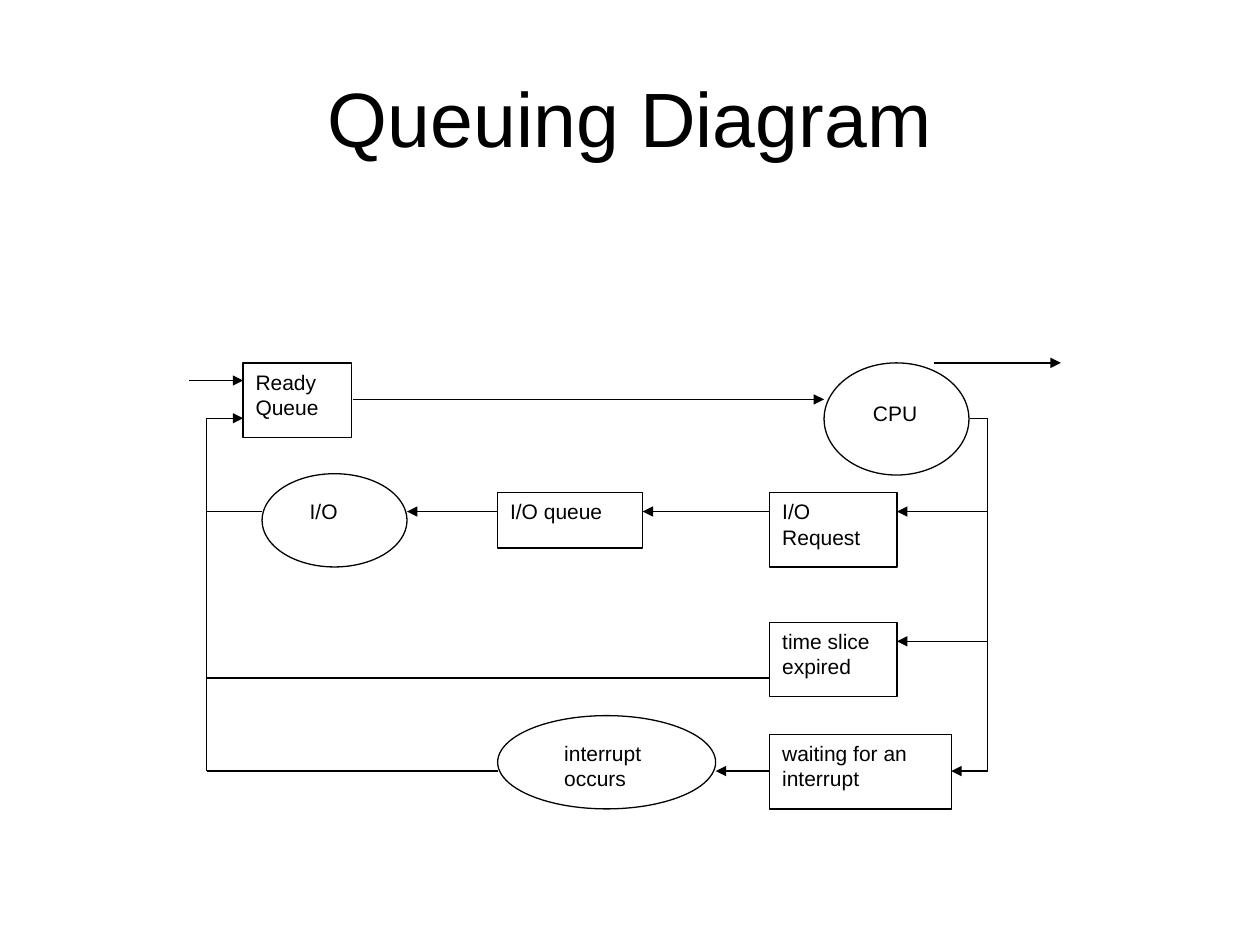
from dataclasses import dataclass

from lxml.etree import SubElement
from pptx import Presentation
from pptx.dml.color import RGBColor
from pptx.enum.shapes import MSO_CONNECTOR as Connector, MSO_SHAPE as Shape
from pptx.enum.text import MSO_ANCHOR as Anchor, PP_ALIGN as Align
from pptx.oxml.ns import qn
from pptx.util import Inches, Pt


@dataclass(frozen=True)
class Theme:
    ink: RGBColor = RGBColor(0, 0, 0)
    paper: RGBColor = RGBColor(255, 255, 255)
    font: str = "Arial"
    title_size: float = 44
    label_size: float = 12
    line_width: float = 0.75


THEME = Theme()

# Vertical rails and the rows that the flows run along
LEFT_RAIL, RIGHT_RAIL = 1.64, 7.84
RAIL_TOP, IO_ROW, SLICE_ROW, SLICE_RETURN, INTERRUPT_ROW = 3.32, 4.06, 5.09, 5.38, 6.12

BOXES = [
    ("Ready Queue", (1.93, 2.88, 0.86, 0.59)),
    ("I/O queue", (3.95, 3.91, 1.15, 0.44)),
    ("I/O Request", (6.11, 3.91, 1.01, 0.59)),
    ("time slice expired", (6.11, 4.94, 1.01, 0.59)),
    ("waiting for an interrupt", (6.11, 5.83, 1.44, 0.59)),
]
# Label, ellipse frame, label frame
ELLIPSES = [
    ("I/O", (2.08, 3.76, 1.15, 0.74), (2.36, 3.91, 0.86, 0.59)),
    ("interrupt occurs", (3.95, 5.68, 1.73, 0.74), (4.38, 5.83, 1.3, 0.59)),
    ("CPU", (6.54, 2.88, 1.15, 0.89), (6.83, 3.13, 0.86, 0.63)),
]
# Row, start x, end x
ARROWS = [
    (3.17, 2.8, 6.54),
    (2.88, 7.41, 8.42),
    (IO_ROW, RIGHT_RAIL, 7.12),
    (SLICE_ROW, RIGHT_RAIL, 7.12),
    (INTERRUPT_ROW, RIGHT_RAIL, 7.55),
    (INTERRUPT_ROW, 6.11, 5.68),
    (RAIL_TOP, LEFT_RAIL, 1.93),
    (IO_ROW, 3.95, 3.23),
    (IO_ROW, 6.11, 5.1),
    (3.02, 1.5, 1.93),
]
BRANCHES = [
    (RAIL_TOP, 7.7, RIGHT_RAIL),
    (INTERRUPT_ROW, LEFT_RAIL, 3.95),
    (IO_ROW, LEFT_RAIL, 2.08),
    (SLICE_RETURN, LEFT_RAIL, 6.11),
]


def set_attributes(target, values):
    for name, value in values.items():
        setattr(target, name, value)


def inches(values):
    return [Inches(value) for value in values]


def write_text(shape, text, size, align=Align.LEFT, anchor=Anchor.TOP):
    frame = shape.text_frame
    set_attributes(frame, {
        "text": text, "word_wrap": True, "vertical_anchor": anchor,
        "margin_left": Inches(0.1), "margin_right": Inches(0.1),
        "margin_top": Inches(0.05), "margin_bottom": Inches(0.05),
    })
    paragraph = frame.paragraphs[0]
    paragraph.alignment = align
    font = paragraph.runs[0].font
    set_attributes(font, {"name": THEME.font, "size": Pt(size)})
    font.color.rgb = THEME.ink


def add_title(slide, text):
    title = slide.shapes.title
    left, top, width, height = inches((0.5, 0.3, 9, 1.25))
    set_attributes(title, {"left": left, "top": top, "width": width, "height": height})
    write_text(title, text, THEME.title_size, Align.CENTER, Anchor.MIDDLE)


def style_line(line):
    line.color.rgb = THEME.ink
    line.width = Pt(THEME.line_width)


def add_outline(slide, kind, frame):
    shape = slide.shapes.add_shape(kind, *inches(frame))
    shape.shadow.inherit = False
    shape.fill.solid()
    shape.fill.fore_color.rgb = THEME.paper
    style_line(shape.line)
    return shape


def add_box(slide, text, frame):
    write_text(add_outline(slide, Shape.RECTANGLE, frame), text, THEME.label_size)


def add_ellipse(slide, text, frame, label_frame):
    """Add an ellipse with its label in a text box of its own."""
    add_outline(slide, Shape.OVAL, frame)
    label = slide.shapes.add_textbox(*inches(label_frame))
    write_text(label, text, THEME.label_size)


def add_line(slide, start, end, arrow=False):
    connector = slide.shapes.add_connector(Connector.STRAIGHT, *inches(start + end))
    style_line(connector.line)
    properties = connector._element.spPr
    if arrow:
        SubElement(properties.find(qn("a:ln")), qn("a:tailEnd"), type="triangle")
    SubElement(properties, qn("a:effectLst"))


def main():
    presentation = Presentation()
    set_attributes(presentation, {"slide_width": Inches(10), "slide_height": Inches(7.5)})
    slide = presentation.slides.add_slide(presentation.slide_layouts[5])
    add_title(slide, "Queuing Diagram")
    for box in BOXES:
        add_box(slide, *box)
    for ellipse in ELLIPSES:
        add_ellipse(slide, *ellipse)
    for row, start, end in ARROWS:
        add_line(slide, (start, row), (end, row), arrow=True)
    for row, start, end in BRANCHES:
        add_line(slide, (start, row), (end, row))
    for rail in (LEFT_RAIL, RIGHT_RAIL):
        add_line(slide, (rail, RAIL_TOP), (rail, INTERRUPT_ROW))
    presentation.save("out.pptx")


if __name__ == "__main__":
    main()
